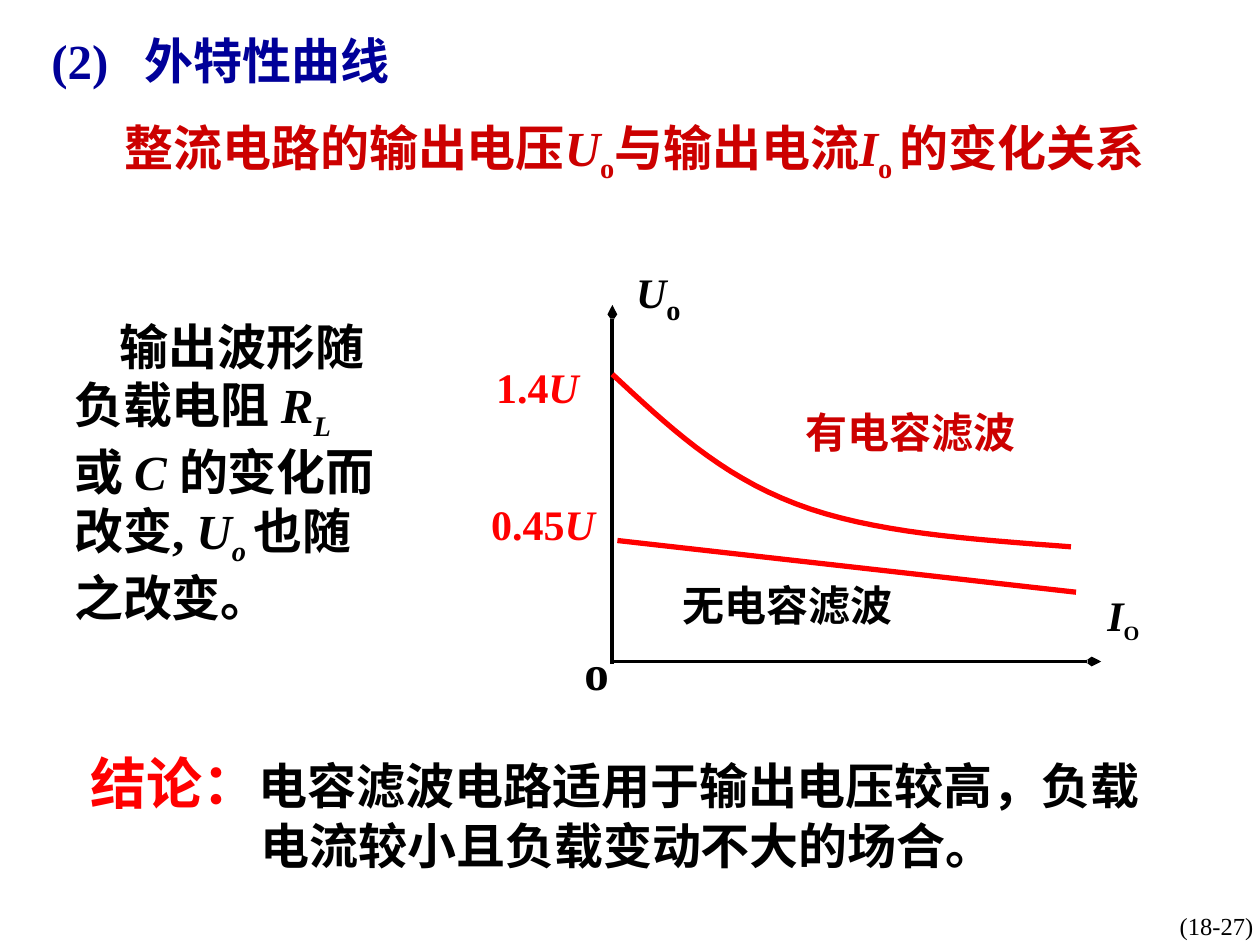
from lxml.etree import SubElement
from pptx import Presentation
from pptx.dml.color import RGBColor
from pptx.enum.text import MSO_ANCHOR as Anchor, MSO_AUTO_SIZE as AutoSize, PP_ALIGN as Align
from pptx.enum.shapes import MSO_CONNECTOR as Connector
from pptx.oxml.ns import qn
from pptx.util import Inches, Pt

LATIN, CJK = "Times New Roman", "Noto Sans CJK SC"
BLACK, RED, DARK_RED, NAVY = "000000", "FF0000", "CC0000", "000099"
ITALIC, SUB = {"italic": True}, {"baseline": -25000}
ITALIC_SUB = ITALIC | SUB


def color(hex_text):
    return RGBColor.from_string(hex_text)


def add_text(box, runs, size=24, ink=BLACK, bold=True, align=Align.CENTER,
             anchor=Anchor.MIDDLE, wrap=False, margin=0, indent=0):
    """Add one paragraph; each run is (text, format values that differ)."""
    frame = slide.shapes.add_textbox(*map(Inches, box)).text_frame
    frame.word_wrap, frame.vertical_anchor = wrap, anchor
    frame.auto_size = AutoSize.SHAPE_TO_FIT_TEXT
    if align == Align.CENTER:
        frame.margin_left = frame.margin_right = 0
    paragraph = frame.paragraphs[0]
    paragraph.alignment = align
    if margin or indent:
        properties = paragraph._p.get_or_add_pPr()
        properties.set("marL", str(Inches(margin)))
        properties.set("indent", str(Inches(indent)))
    for text, changes in runs:
        run = paragraph.add_run()
        run.text = text
        values = {"name": LATIN, "size": size, "bold": bold, "ink": ink} | changes
        run.font.color.rgb = color(values.pop("ink"))
        baseline = values.pop("baseline", None)
        values["size"] = Pt(values["size"])
        for name, value in values.items():
            setattr(run.font, name, value)
        run_properties = run._r.get_or_add_rPr()
        SubElement(run_properties, qn("a:ea")).set("typeface", CJK)
        if baseline:
            run_properties.set("baseline", str(baseline))


deck = Presentation()
deck.slide_width, deck.slide_height = Inches(10), Inches(7.5)
slide = deck.slides.add_slide(deck.slide_layouts[6])

# Heading, statement, explanation and conclusion
add_text((0.31, 0.19, 2.88, 0.57), [("(2)\t外特性曲线", {})], size=28, ink=NAVY,
         align=Align.LEFT, anchor=Anchor.TOP, margin=0.74, indent=-0.74)
add_text((0.89, 0.88, 8.67, 0.63), [
    ("整流电路的输出电压", {}), ("U", ITALIC), ("o", SUB), ("与输出电流", {}),
    ("I", ITALIC), ("o ", SUB), ("的变化关系", {}),
], size=28, ink=DARK_RED, align=Align.LEFT)
add_text((0.49, 2.46, 2.61, 2.57), [
    ("输出波形随负载电阻 ", {}), ("R", ITALIC), ("L ", ITALIC_SUB), ("或 ", {}),
    ("C ", ITALIC), ("的变化而改变, ", {}), ("U", ITALIC), ("o ", ITALIC_SUB),
    ("也随之改变。", {}),
], size=28, align=Align.LEFT, anchor=Anchor.TOP, wrap=True, indent=0.36)
add_text((0.62, 5.89, 8.89, 1.1), [
    ("结论：", {"size": 32, "ink": RED}),
    ("电容滤波电路适用于输出电压较高，负载电流较小且负载变动不大的场合。", {"name": CJK}),
], size=28, align=Align.LEFT, anchor=Anchor.TOP, wrap=True, margin=1.35, indent=-1.35)
add_text((9.31, 7.18, 0.69, 0.33), [("(18-27)", {})], size=14, bold=False)

# Axes and the straight characteristic without a capacitor
origin_x = 4.86
for start, end, ink, weight, is_axis in [
    ((origin_x, 5.27), (origin_x, 2.42), BLACK, 2.25, True),
    ((origin_x, 5.25), (8.74, 5.25), BLACK, 2.25, True),
    ((4.9, 4.29), (8.54, 4.7), RED, 3, False),
]:
    line = slide.shapes.add_connector(Connector.STRAIGHT, *map(Inches, start + end))
    line.line.color.rgb = color(ink)
    line.line.width = Pt(weight)
    if is_axis:
        head = SubElement(line.line._get_or_add_ln(), qn("a:tailEnd"))
        for name, value in {"type": "arrow", "w": "sm", "len": "med"}.items():
            head.set(name, value)
    SubElement(line._element.spPr, qn("a:effectLst"))

# Characteristic with a capacitor: two Bézier arcs sampled in equal steps
arcs = [
    ((origin_x, 2.97), (5.29, 3.37), (5.71, 3.77), (6.32, 4)),
    ((6.32, 4), (6.92, 4.23), (7.71, 4.28), (8.5, 4.34)),
]
steps = 16
curve_points = []
for arc in arcs:
    for step in range(1, steps + 1):
        t = step / steps
        weights = ((1 - t) ** 3, 3 * t * (1 - t) ** 2, 3 * t ** 2 * (1 - t), t ** 3)
        curve_points.append(tuple(
            Inches(sum(w * point[axis] for w, point in zip(weights, arc)))
            for axis in (0, 1)))
builder = slide.shapes.build_freeform(*map(Inches, arcs[0][0]))
builder.add_line_segments(curve_points, close=False)
filtered_curve = builder.convert_to_shape()
filtered_curve.fill.background()
filtered_curve.line.color.rgb = color(RED)
filtered_curve.line.width = Pt(3)
filtered_curve.shadow.inherit = False

# Labels of the diagram
for box, runs, ink in [
    ((6.3, 3.18, 1.86, 0.5), [("有电容滤波", {})], DARK_RED),
    ((5.32, 4.55, 1.86, 0.5), [("无电容滤波", {})], BLACK),
    ((3.84, 2.82, 0.85, 0.5), [("1.4", {}), ("U", ITALIC)], RED),
    ((3.8, 3.91, 1.02, 0.5), [("0.45", {}), ("U", ITALIC)], RED),
    ((4.95, 2.01, 0.55, 0.63), [("U", ITALIC), ("o", SUB | {"size": 28})], BLACK),
    ((4.54, 5.04, 0.39, 0.57), [("o", {"size": 28})], BLACK),
    ((8.69, 4.63, 0.45, 0.54), [("I", ITALIC), ("O", SUB | {"size": 20})], BLACK),
]:
    add_text(box, runs, ink=ink)

deck.save("out.pptx")
